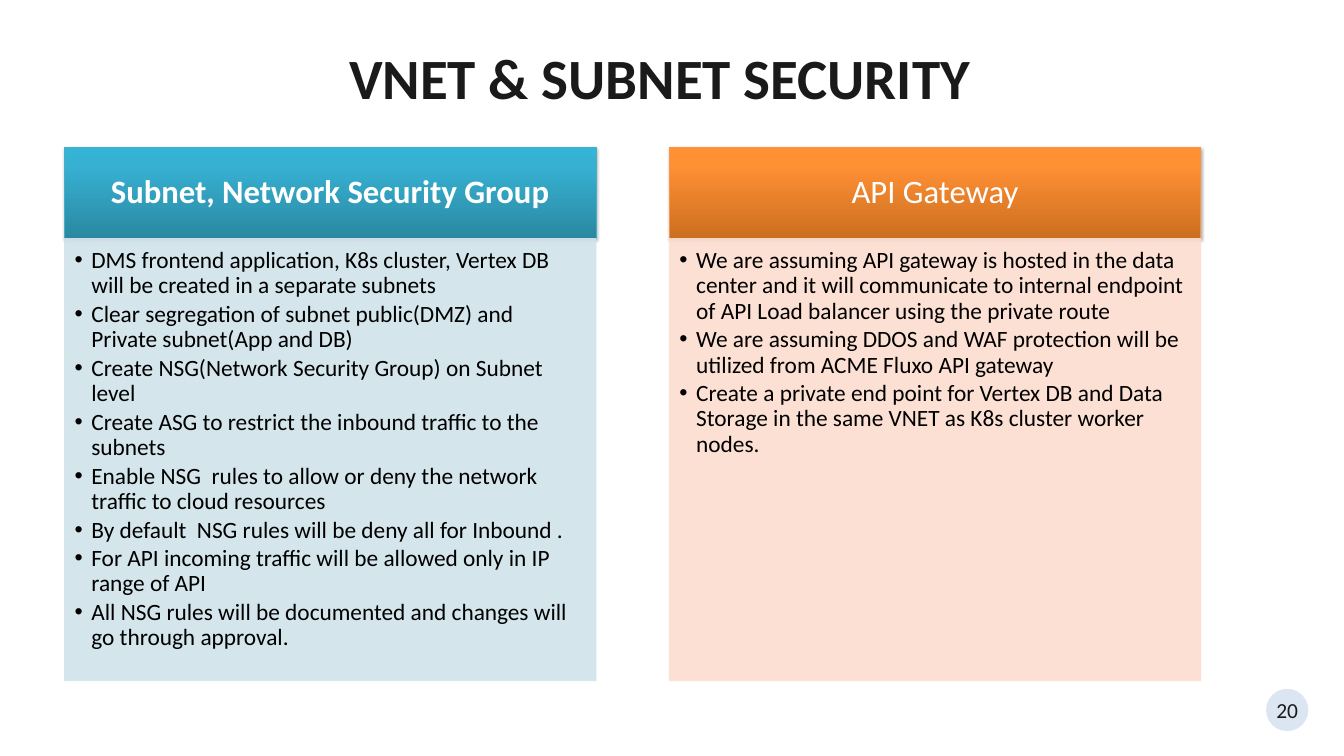
from dataclasses import dataclass

from lxml import etree
from pptx import Presentation
from pptx.dml.color import RGBColor
from pptx.enum.shapes import MSO_SHAPE
from pptx.enum.text import MSO_ANCHOR, MSO_AUTO_SIZE, PP_ALIGN
from pptx.oxml import parse_xml
from pptx.oxml.ns import nsdecls, qn
from pptx.util import Inches, Pt

CENTER, LEFT = PP_ALIGN.CENTER, PP_ALIGN.LEFT
MIDDLE, TOP = MSO_ANCHOR.MIDDLE, MSO_ANCHOR.TOP
NO_FIT = MSO_AUTO_SIZE.NONE
OVAL = MSO_SHAPE.OVAL

FONT = "Calibri"
COLORS = {
    "ink": "1A1A1A", "black": "000000", "white": "FFFFFF", "badge": "DCE6F2",
    "teal": "4BACC6", "mist": "D0E3EA", "orange": "F79646", "peach": "FCDDCF",
}
HEAD_TOP, HEAD_HIGH = 2.19, 1.35
BODY_TOP, BODY_HIGH = 3.55, 6.58
WIDE = 7.91


@dataclass
class Column:
    left: float
    head: str
    bold: bool
    shades: tuple[str, str, str]  # bottom to top
    edge: str
    tint: str
    points: list[str]


COLUMNS = [
    Column(0.96, "Subnet, Network Security Group", True,
           ("2A88A2", "37B1D2", "34B4D6"), "teal", "mist", [
               "DMS frontend application, K8s cluster, Vertex DB will be created in a separate subnets",
               "Clear segregation of subnet public(DMZ) and Private subnet(App and DB)",
               "Create NSG(Network Security Group) on Subnet level",
               "Create ASG to restrict the inbound traffic to the subnets",
               "Enable NSG  rules to allow or deny the network traffic to cloud resources",
               "By default  NSG rules will be deny all for Inbound .",
               "For API incoming traffic will be allowed only in IP range of API",
               "All NSG rules will be documented and changes will go through approval.",
           ]),
    Column(9.96, "API Gateway", False,
           ("CC6E20", "FF9034", "FF9136"), "orange", "peach", [
               "We are assuming API gateway is hosted in the data center and it will communicate to internal endpoint of API Load balancer using the private route",
               "We are assuming DDOS and WAF protection will be utilized from ACME Fluxo API gateway",
               "Create a private end point for Vertex DB and Data Storage in the same VNET as K8s cluster worker nodes.",
           ]),
]


def color(name: str) -> RGBColor:
    return RGBColor.from_string(COLORS[name])


def place(shape, left: float, top: float, wide: float, high: float) -> None:
    shape.left, shape.top = Inches(left), Inches(top)
    shape.width, shape.height = Inches(wide), Inches(high)


def set_text(shape, text: str, size: int, ink: str, bold: bool = False,
             align=CENTER, anchor=MIDDLE, inset=(0, 0, 0, 0)) -> None:
    frame = shape.text_frame
    frame.text = text
    frame.word_wrap = True
    frame.auto_size = NO_FIT
    frame.vertical_anchor = anchor
    frame.margin_left, frame.margin_top, frame.margin_right, frame.margin_bottom = map(Inches, inset)
    for para in frame.paragraphs:
        para.alignment = align
        para.space_before = Pt(0)
        for run in para.runs:
            font = run.font
            font.name, font.size, font.bold = FONT, Pt(size), bold
            font.color.rgb = color(ink)


def set_line(shape, name: str) -> None:
    shape.line.color.rgb = color(name)
    shape.line.width = Pt(0.75)


def add_alpha(fill) -> None:
    tone = fill.find(qn("a:solidFill")).find(qn("a:srgbClr"))
    etree.SubElement(tone, qn("a:alpha")).set("val", "90000")


def draw_head(shape, col: Column) -> None:
    place(shape, col.left, HEAD_TOP, WIDE, HEAD_HIGH)
    stops = "".join(f'<a:gs pos="{pos}"><a:srgbClr val="{shade}"/></a:gs>'
                    for pos, shade in zip((0, 80000, 100000), col.shades))
    props = shape._element.spPr
    props.append(parse_xml(f'<a:gradFill {nsdecls("a")}><a:gsLst>{stops}</a:gsLst>'
                           '<a:lin ang="16200000" scaled="0"/></a:gradFill>'))
    set_line(shape, col.edge)
    props.append(parse_xml(
        f'<a:effectLst {nsdecls("a")}><a:outerShdw blurRad="{Pt(3.1)}" dist="{Pt(1.8)}" '
        'dir="5400000" rotWithShape="0"><a:srgbClr val="000000"><a:alpha val="35000"/>'
        '</a:srgbClr></a:outerShdw></a:effectLst>'))
    set_text(shape, col.head, 35, "white", col.bold, inset=(0.27, 0.16, 0.27, 0.16))
    shape.text_frame.paragraphs[0].line_spacing = 0.9


def draw_body(shape, col: Column) -> None:
    place(shape, col.left, BODY_TOP, WIDE, BODY_HIGH)
    shape.fill.solid()
    shape.fill.fore_color.rgb = color(col.tint)
    set_line(shape, col.tint)
    props = shape._element.spPr
    add_alpha(props)
    add_alpha(props.find(qn("a:ln")))
    set_text(shape, "\n".join(col.points), 25, "black", align=LEFT, anchor=TOP,
             inset=(0.15, 0.15, 0.19, 0.22))
    for para in shape.text_frame.paragraphs:
        para.line_spacing = 0.9
        para.space_after = Pt(3.75)
        indent = para._p.get_or_add_pPr()
        indent.set("marL", str(Inches(0.25)))
        indent.set("indent", str(-Inches(0.25)))


def draw_badge(slide, text: str) -> None:
    badge = slide.shapes.add_shape(OVAL, Inches(18.84), Inches(10.25), Inches(0.63), Inches(0.63))
    badge.shadow.inherit = False
    badge.fill.solid()
    badge.fill.fore_color.rgb = color("badge")
    badge.line.fill.background()
    set_text(badge, text, 23, "ink", inset=(0, 0.04, 0, 0.04))
    badge.text_frame.word_wrap = False


def main() -> None:
    deck = Presentation()
    deck.slide_width, deck.slide_height = Inches(20), Inches(11.25)
    # The comparison layout has a title and two pairs of heading and list
    slide = deck.slides.add_slide(deck.slide_layouts[4])
    title, *parts = slide.placeholders

    # Title
    place(title, 1.34, 0.82, 16.95, 0.84)
    set_text(title, "VNET & SUBNET SECURITY", 61, "ink", True)
    title.text_frame.paragraphs[0].line_spacing = Pt(58)

    # Columns
    for col, head, body in zip(COLUMNS, parts[::2], parts[1::2]):
        draw_head(head, col)
        draw_body(body, col)

    # Page number
    draw_badge(slide, "20")
    deck.save("out.pptx")


if __name__ == "__main__":
    main()
